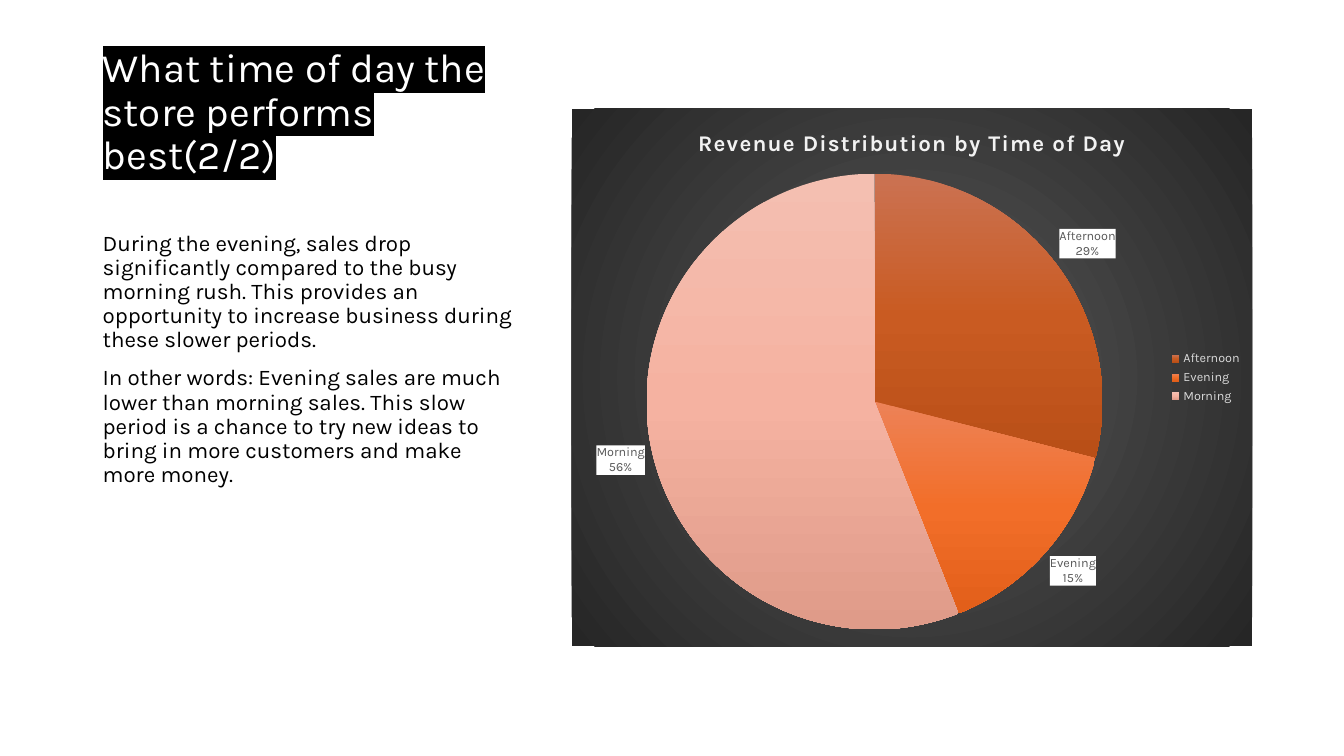
from lxml import etree
from pptx import Presentation
from pptx.chart.data import CategoryChartData
from pptx.dml.color import RGBColor
from pptx.enum.chart import XL_CHART_TYPE as ChartType, XL_LABEL_POSITION as LabelPos
from pptx.enum.chart import XL_LEGEND_POSITION as LegendPos
from pptx.enum.text import MSO_ANCHOR as Anchor
from pptx.oxml import parse_xml
from pptx.oxml.ns import nsdecls, qn
from pptx.util import Inches, Pt

# Content
HEADING = "What time of day the store performs best(2/2)"
REMARKS = [
    "During the evening, sales drop significantly compared to the busy morning rush. "
    "This provides an opportunity to increase business during these slower periods.\u00a0",
    "In other words: Evening sales are much lower than morning sales. This slow period "
    "is a chance to try new ideas to bring in more customers and make more money.",
]
CHART_TITLE = "Revenue Distribution by Time of Day"
# time of day, share of revenue, gradient from top to bottom
SHARES = [
    ("Afternoon", 29, ("CB7252", "C95B22", "B94F17")),
    ("Evening", 15, ("ED8257", "F26E29", "E25F1A")),
    ("Morning", 56, ("F4BFB1", "F5B2A1", "DF9B89")),
]
BACKDROP = ("595959", "262626")

# Style
FONT = "Karla"
BLACK = RGBColor(0x00, 0x00, 0x00)
WHITE = RGBColor(0xFF, 0xFF, 0xFF)
TITLE_GREY = RGBColor(0xF2, 0xF2, 0xF2)
LEGEND_GREY = RGBColor(0xD9, 0xD9, 0xD9)
LABEL_GREY = RGBColor(0x59, 0x59, 0x59)
DOWNWARD = '<a:lin ang="5400000" scaled="0"/>'
RADIAL = ('<a:path path="circle"><a:fillToRect l="50000" t="50000" '
          'r="50000" b="50000"/></a:path>')

# Layout in inches
WIDTH, HEIGHT = 13.33, 7.5
LEFT, COLUMN = 0.92, 4.3
HEADING_TOP, REMARKS_TOP, REMARKS_BOTTOM = 0.5, 2.25, 6.42
CHART_BOX = (5.67, 1.08, 6.75, 5.33)
PIE_AREA = {"x": 0.11, "y": 0.12, "w": 0.67, "h": 0.85}  # shares of the chart


def style(font, size, color, bold=False):
    font.name, font.size, font.bold = FONT, Pt(size), bold
    font.color.rgb = color


def gradient(colors, direction):
    step = 100000 // (len(colors) - 1)
    stops = "".join(f'<a:gs pos="{i * step}"><a:srgbClr val="{color}"/></a:gs>'
                    for i, color in enumerate(colors))
    return f'<a:gradFill rotWithShape="1"><a:gsLst>{stops}</a:gsLst>{direction}</a:gradFill>'


def shape_format(fill):
    return parse_xml(f'<c:spPr {nsdecls("c", "a")}>{fill}<a:ln><a:noFill/></a:ln></c:spPr>')


def add_text(slide, top, bottom, paragraphs, size, color, space=0):
    box = slide.shapes.add_textbox(*map(Inches, (LEFT, top, COLUMN, bottom - top)))
    frame = box.text_frame
    frame.word_wrap = True
    for i, text in enumerate(paragraphs):
        paragraph = frame.paragraphs[0] if i == 0 else frame.add_paragraph()
        paragraph.line_spacing = 0.9
        paragraph.space_before = Pt(space)
        run = paragraph.add_run()
        run.text = text
        style(run.font, size, color)
    return frame


def add_heading(slide):
    frame = add_text(slide, HEADING_TOP, REMARKS_TOP, [HEADING], 28.8, WHITE)
    frame.vertical_anchor = Anchor.BOTTOM
    frame.margin_top, frame.margin_bottom = 0, Inches(0.48)
    ink = frame.paragraphs[0].runs[0].font._element.find(qn("a:solidFill"))
    ink.addnext(parse_xml(f'<a:highlight {nsdecls("a")}><a:srgbClr val="{BLACK}"/></a:highlight>'))


def add_pie(slide):
    shares = CategoryChartData()
    shares.categories = [time for time, _, _ in SHARES]
    shares.add_series("Series 1", [share for _, share, _ in SHARES])
    chart = slide.shapes.add_chart(ChartType.PIE, *map(Inches, CHART_BOX), shares).chart
    style(chart.font, 10, BLACK)
    space = chart._chartSpace
    space.find(qn("c:chart")).addnext(shape_format(gradient(BACKDROP, RADIAL)))

    # Title
    chart.has_title = True
    title = chart.chart_title.text_frame.paragraphs[0].add_run()
    title.text = CHART_TITLE
    style(title.font, 16, TITLE_GREY, bold=True)
    title.font._element.set("spc", "100")
    chart.chart_title.include_in_layout = False

    # Legend
    chart.has_legend = True
    chart.legend.position = LegendPos.RIGHT
    chart.legend.include_in_layout = False
    style(chart.legend.font, 9, LEGEND_GREY)

    # Slices
    plot = chart.plots[0]
    plot.vary_by_categories = True
    for i, (_, _, colors) in enumerate(SHARES):
        fill = plot.series[0].points[i].format.fill
        fill.background()
        fill._xPr.getparent().replace(fill._xPr, shape_format(gradient(colors, DOWNWARD)))

    # Labels on white
    labels = plot.series[0].data_labels
    labels.show_category_name = labels.show_percentage = True
    labels.show_value = False
    labels.number_format, labels.number_format_is_linked = "0%", False
    labels.position = LabelPos.OUTSIDE_END
    style(labels.font, 9, LABEL_GREY)
    white = f'<a:solidFill><a:srgbClr val="{WHITE}"/></a:solidFill>'
    labels._element.find(qn("c:txPr")).addprevious(shape_format(white))

    # Place of the pie inside the chart
    area = space.find(".//" + qn("c:plotArea"))
    for default in area.findall(qn("c:layout")):
        area.remove(default)
    layout = parse_xml(f'<c:layout {nsdecls("c")}><c:manualLayout/></c:layout>')
    settings = {"layoutTarget": "inner", "xMode": "edge", "yMode": "edge", **PIE_AREA}
    for key, value in settings.items():
        etree.SubElement(layout[0], qn(f"c:{key}")).set("val", str(value))
    area.insert(0, layout)


def main():
    deck = Presentation()
    deck.slide_width, deck.slide_height = Inches(WIDTH), Inches(HEIGHT)
    slide = deck.slides.add_slide(deck.slide_layouts[6])
    add_heading(slide)
    add_text(slide, REMARKS_TOP, REMARKS_BOTTOM, REMARKS, 16, BLACK, space=10)
    add_pie(slide)
    deck.save("out.pptx")


if __name__ == "__main__":
    main()
